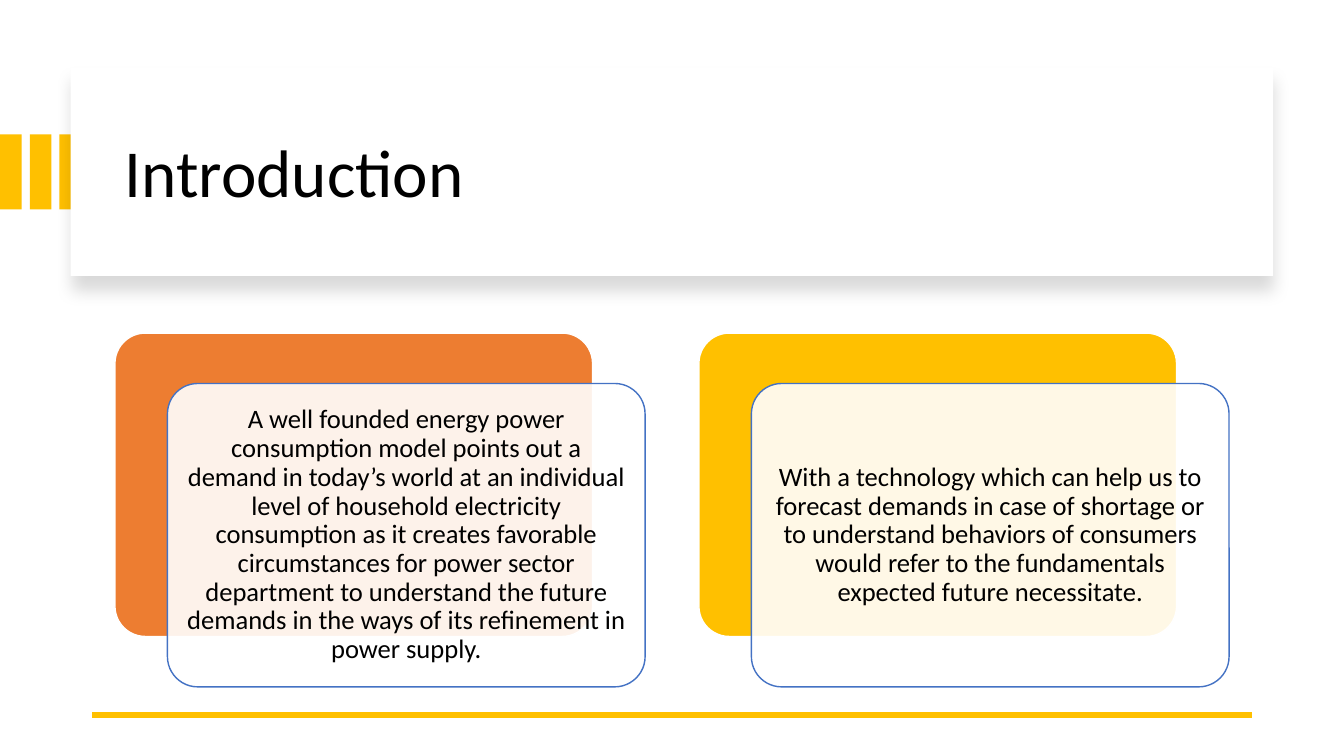
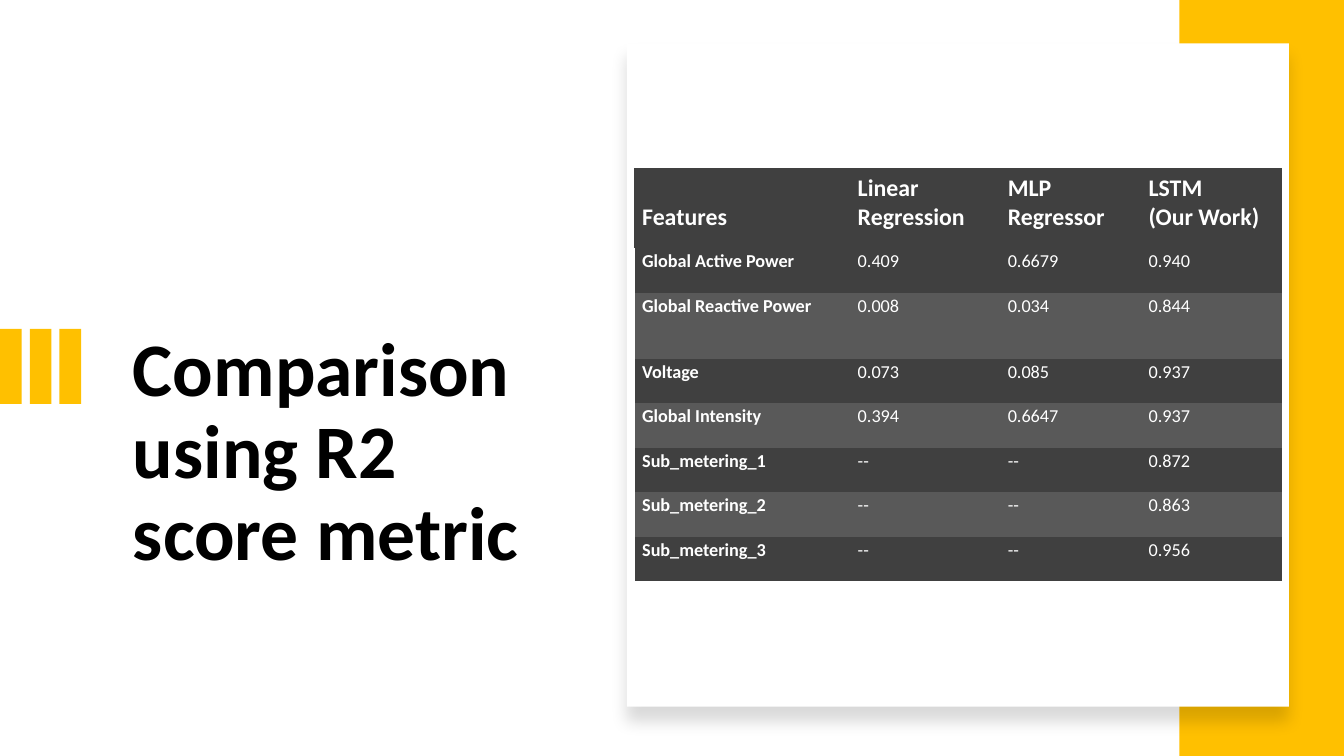
from lxml import etree
from pptx import Presentation
from pptx.dml.color import RGBColor
from pptx.enum.shapes import MSO_CONNECTOR as Connector, MSO_SHAPE as Shape
from pptx.enum.text import MSO_ANCHOR as Anchor, MSO_AUTO_SIZE as AutoSize, PP_ALIGN as Align
from pptx.oxml import parse_xml
from pptx.oxml.ns import nsdecls, qn
from pptx.util import Pt

FONT = "Calibri"
COLORS = {
    "accent": "FFC000", "orange": "ED7D31", "outline": "4472C4", "white": "FFFFFF",
    "black": "000000", "dark_row": "404040", "light_row": "595959",
}
NO_TABLE_STYLE = "{2D5ABB26-0587-4C30-8999-92F81FD0307C}"

INTRO_TITLE = "Introduction"
INTRO_CARDS = [
    ("orange", "A well founded energy power consumption model points out a demand in today’s "
               "world at an individual level of household electricity consumption as it creates "
               "favorable circumstances for power sector department to understand the future "
               "demands in the ways of its refinement in power supply."),
    ("accent", "With a technology which can help us to forecast demands in case of shortage or "
               "to understand behaviors of consumers would refer to the fundamentals expected "
               "future necessitate."),
]

SCORES_TITLE = "Comparison using R2 score metric"
SCORES = [
    ("Features", "Linear Regression", "MLP Regressor", "LSTM\n(Our Work)"),
    ("Global Active Power", "0.409", "0.6679", "0.940"),
    ("Global Reactive Power", "0.008", "0.034", "0.844"),
    ("Voltage", "0.073", "0.085", "0.937"),
    ("Global Intensity", "0.394", "0.6647", "0.937"),
    ("Sub_metering_1", "--", "--", "0.872"),
    ("Sub_metering_2", "--", "--", "0.863"),
    ("Sub_metering_3", "--", "--", "0.956"),
]
SCORE_COLUMNS = [154, 107.2, 100.6, 101]
SCORE_ROWS = [57.4, 31.7, 47.4] + [31.7] * 5


def rgb(name):
    return RGBColor.from_string(COLORS[name])


def add_block(slide, box, fill, line=None, kind=Shape.RECTANGLE):
    block = slide.shapes.add_shape(kind, *map(Pt, box))
    block.shadow.inherit = False
    block.fill.solid()
    block.fill.fore_color.rgb = rgb(fill)
    if line:
        block.line.color.rgb = rgb(line)
        block.line.width = Pt(1)
    else:
        block.line.fill.background()
    if kind == Shape.ROUNDED_RECTANGLE:
        block.adjustments[0] = 0.1
    return block


def format_text(frame, size, color, bold=False, align=Align.LEFT, spacing=None):
    for paragraph in frame.paragraphs:
        paragraph.alignment = align
        if spacing:
            paragraph.line_spacing = spacing
        for run in paragraph.runs:
            run.font.name = FONT
            run.font.size = Pt(size)
            run.font.bold = bold
            run.font.color.rgb = rgb(color)


def add_bars(slide, top):
    for i in range(3):
        add_block(slide, (i * 21.25, top, 15.5, 53.5), "accent")


def add_panel(slide, box):
    panel = add_block(slide, box, "white")
    effects = panel.element.spPr.find(qn("a:effectLst"))
    effects.append(parse_xml(
        f'<a:outerShdw {nsdecls("a")} blurRad="{Pt(11)}" dist="{Pt(10)}" dir="5400000" '
        f'algn="t" rotWithShape="0"><a:srgbClr val="{COLORS["black"]}">'
        '<a:alpha val="15000"/></a:srgbClr></a:outerShdw>'))


def place_title(slide, text, box, size, bold, anchor):
    title = slide.shapes.title
    title.left, title.top, title.width, title.height = map(Pt, box)
    frame = title.text_frame
    frame.text = text
    frame.word_wrap = True
    frame.auto_size = AutoSize.NONE
    frame.vertical_anchor = anchor
    format_text(frame, size, "black", bold, spacing=0.9)
    slide.shapes.element.append(title.element)


def add_card(slide, left, backing, text):
    top, width, height = 237.9, 341.2, 216.7
    add_block(slide, (left, top, width, height), backing, "white", Shape.ROUNDED_RECTANGLE)
    card = add_block(slide, (left + 37.5, top + 36, width, height), "white", "outline",
                     Shape.ROUNDED_RECTANGLE)
    color = card.element.spPr.find(qn("a:solidFill"))[0]
    etree.SubElement(color, qn("a:alpha")).set("val", "90000")
    frame = card.text_frame
    frame.text = text
    frame.word_wrap = True
    frame.vertical_anchor = Anchor.MIDDLE
    frame.margin_left = frame.margin_right = frame.margin_top = frame.margin_bottom = Pt(6)
    format_text(frame, 19, "black", align=Align.CENTER, spacing=0.9)


def add_rule(slide, left, right, y):
    rule = slide.shapes.add_connector(Connector.STRAIGHT, Pt(left), Pt(y), Pt(right), Pt(y))
    rule.line.color.rgb = rgb("accent")
    rule.line.width = Pt(4.5)
    etree.SubElement(rule.element.spPr, qn("a:effectLst"))


def add_left_border(cell):
    cell._tc.get_or_add_tcPr().insert(0, parse_xml(
        f'<a:lnL {nsdecls("a")} w="{Pt(1)}"><a:solidFill>'
        f'<a:srgbClr val="{COLORS["white"]}"/></a:solidFill></a:lnL>'))


def add_scores(slide, left, top):
    frame = slide.shapes.add_table(len(SCORES), len(SCORE_COLUMNS), Pt(left), Pt(top),
                                   Pt(sum(SCORE_COLUMNS)), Pt(sum(SCORE_ROWS)))
    scores = frame.table
    scores._tbl.tblPr.find(qn("a:tableStyleId")).text = NO_TABLE_STYLE
    for column, width in zip(scores.columns, SCORE_COLUMNS):
        column.width = Pt(width)
    for r, (row, height) in enumerate(zip(scores.rows, SCORE_ROWS)):
        row.height = Pt(height)
        header = r == 0
        shade = "light_row" if r and r % 2 == 0 else "dark_row"
        for c, (cell, value) in enumerate(zip(row.cells, SCORES[r])):
            cell.text_frame.text = value
            cell.margin_left = cell.margin_right = Pt(5.7)
            cell.margin_top, cell.margin_bottom = Pt(1.6), Pt(11.4)
            cell.vertical_anchor = Anchor.BOTTOM if header else Anchor.TOP
            cell.fill.solid()
            cell.fill.fore_color.rgb = rgb(shade)
            format_text(cell.text_frame, 17 if header else 13, "white", header or c == 0)
            if c == 0 and not header:
                add_left_border(cell)


def build_intro(slide):
    add_bars(slide, 96)
    add_panel(slide, (50.5, 48.2, 859, 149))
    place_title(slide, INTRO_TITLE, (82, 64, 801.5, 122.5), 48, False, Anchor.MIDDLE)
    add_rule(slide, 66, 894, 510.5)
    for i, (backing, text) in enumerate(INTRO_CARDS):
        add_card(slide, 82.1 + i * 417.1, backing, text)


def build_comparison(slide):
    place_title(slide, SCORES_TITLE, (87.8, 233.3, 317.5, 188), 54, True, Anchor.TOP)
    add_bars(slide, 235)
    add_block(slide, (842.4, 0, 117.6, 540), "accent")
    add_panel(slide, (447.8, 31, 473, 473.8))
    add_scores(slide, 453, 120)


def main():
    deck = Presentation()
    deck.slide_width, deck.slide_height = Pt(960), Pt(540)
    for build in (build_intro, build_comparison):
        build(deck.slides.add_slide(deck.slide_layouts[5]))
    deck.save("out.pptx")


if __name__ == "__main__":
    main()
